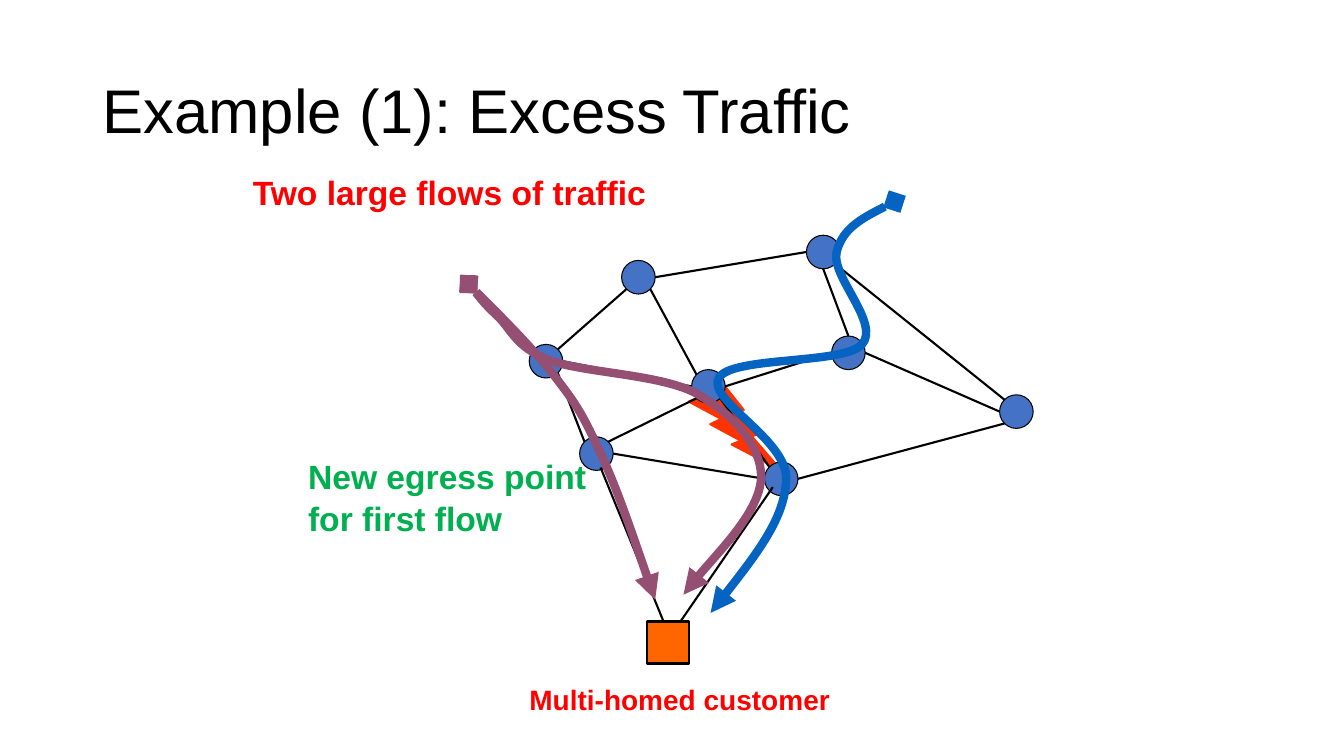
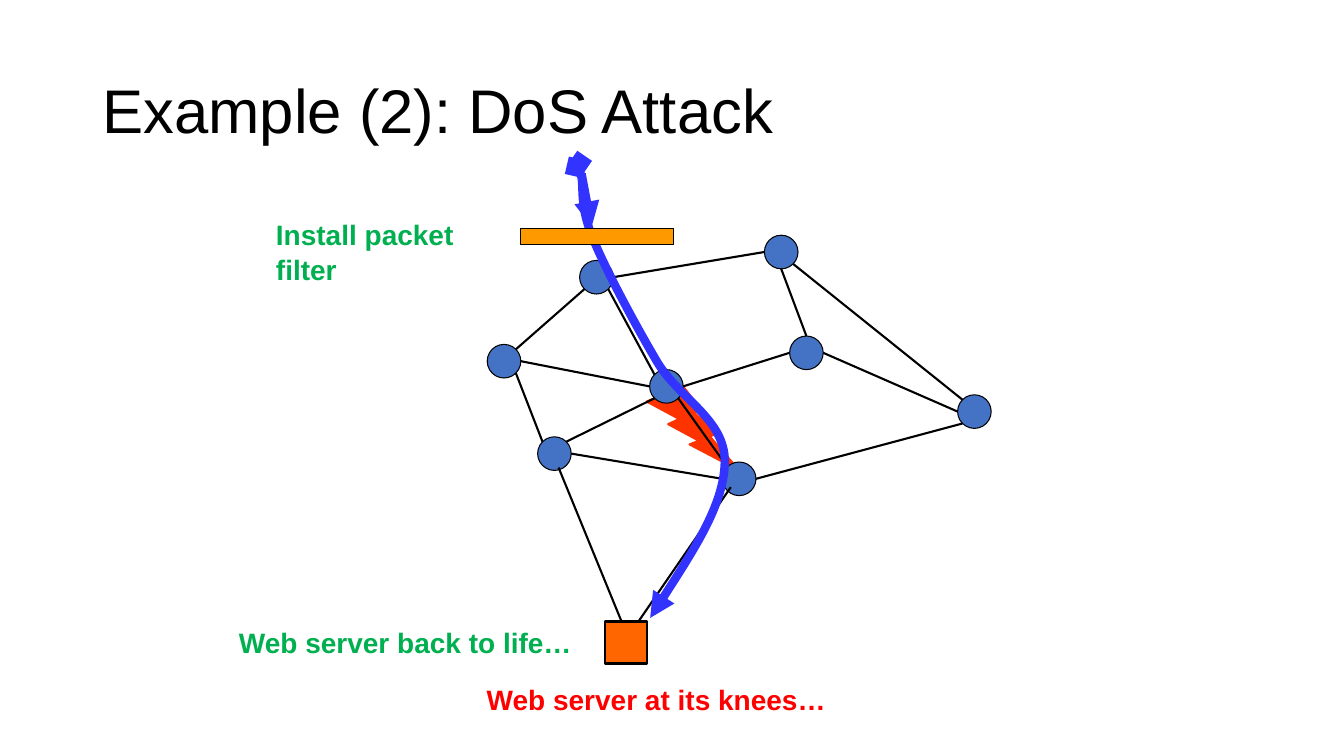
"""Build two slides of network traffic examples around one shared topology."""
from math import cos, radians, sin

from lxml.etree import SubElement
from pptx import Presentation
from pptx.dml.color import RGBColor
from pptx.enum.shapes import MSO_CONNECTOR, MSO_SHAPE
from pptx.enum.text import MSO_ANCHOR, MSO_AUTO_SIZE, PP_ALIGN
from pptx.oxml.ns import qn
from pptx.util import Pt

BLACK = RGBColor(0x00, 0x00, 0x00)
RED = RGBColor(0xFF, 0x00, 0x00)
GREEN = RGBColor(0x00, 0xB0, 0x50)
NODE_BLUE = RGBColor(0x44, 0x72, 0xC4)
BOLT_RED = RGBColor(0xFF, 0x33, 0x00)
SITE_ORANGE = RGBColor(0xFF, 0x66, 0x00)
FILTER_ORANGE = RGBColor(0xFF, 0x99, 0x00)
FLOW_BLUE = RGBColor(0x05, 0x63, 0xC1)
FLOW_PURPLE = RGBColor(0x95, 0x4F, 0x72)
ATTACK_BLUE = RGBColor(0x33, 0x33, 0xFF)

FONT = "Arial"
RADIUS = 12
NODES = {
    "north": (456, 198), "west": (390, 258), "southwest": (426, 324),
    "south": (558, 342), "core": (506, 276), "east": (606, 252),
    "northeast": (588, 180), "far east": (726, 294),
}
ANGLES = {"E": 0, "SE": 45, "S": 90, "SW": 135, "W": 180, "NW": 225, "N": 270, "NE": 315}
LINKS = [
    ("west", "E", "core", "W"), ("core", "SW", "southwest", "NE"),
    ("core", "SE", "south", "NW"), ("north", "SE", "core", "NW"),
    ("core", "E", "east", "W"), ("northeast", "S", "east", "N"),
    ("north", "E", "northeast", "W"), ("east", "E", "far east", "W"),
    ("south", "E", "far east", "SW"), ("northeast", "SE", "far east", "NW"),
    ("southwest", "E", "south", "W"), ("west", "SE", "southwest", "NW"),
    ("west", "NE", "north", "SW"),
]
ACCESS_LINKS = [((429, 334), (474, 444)), ((552, 348), (486, 444))]
BOLT = (492, 276, 66, 60)
SITE = (462, 444, 30, 30)

SLIDES = [
    {
        "title": "Example (1): Excess Traffic",
        "shift": 0,
        "items": [
            ("label", ["Multi-homed customer"], (371, 484, 231, 31.5), 20, RED),
            ("label", ["Two large flows of traffic"], (173.5, 119, 298, 36.5), 24, RED),
            ("flow", FLOW_BLUE, [
                (639, 144), (620.6, 153.4), (602, 162.7), (597.6, 180),
                (593.3, 197.3), (629.3, 231.1), (615.6, 246.2),
                (601.9, 260.6), (522.7, 254.2), (513.4, 270),
                (504.7, 285.8), (562.3, 313.9), (561.6, 342),
                (560.9, 370.1), (534.2, 403.9), (507.6, 437.8)]),
            ("flow", FLOW_PURPLE, [
                (334.8, 203), (340.6, 209.5), (345.6, 216.7), (355, 225.4),
                (365, 234.7), (367.9, 247.7), (391.7, 257),
                (415.4, 266.4), (473, 267.1), (498.2, 281.5),
                (523.4, 295.9), (545, 319), (543.6, 342.7),
                (541.4, 366.5), (497.5, 411.1), (488.2, 424.8)]),
            ("label", ["New egress point", "for first flow"],
             (213, 322, 215.5, 65.5), 24, GREEN),
            ("flow", FLOW_PURPLE, [
                (334.8, 203), (357.1, 225.4), (380.2, 248.4), (396, 268.6),
                (411.8, 288.7), (416.9, 297.4), (429.1, 324),
                (441.4, 350.6), (454.3, 389.5), (468, 428.4)]),
        ],
    },
    {
        "title": "Example (2): DoS Attack",
        "shift": -30,
        "items": [
            ("label", ["Web server at its knees…"], (340.5, 484, 258.5, 31.5), 20, RED),
            ("flow", ATTACK_BLUE, [
                (411.1, 119.5), (411.8, 118.8), (413.3, 118.1), (415.4, 126.7),
                (416.9, 134.6), (414, 147.6), (423.4, 169.9),
                (432, 191.5), (453.6, 231.8), (469.4, 258.5),
                (485.3, 285.1), (518.4, 299.5), (517.7, 330.5),
                (517, 360.7), (490.3, 401), (464.4, 441.4)]),
            ("filter", (371.5, 163, 109.5, 12)),
            ("flow", ATTACK_BLUE, [
                (414, 116.6), (414, 116.6), (418.3, 139.7), (422.6, 162)]),
            ("label", ["Install packet", "filter"], (190, 152, 142.5, 55.5), 20, GREEN),
            ("label", ["Web server back to life…"], (163.5, 443.5, 254, 31.5), 20, GREEN),
        ],
    },
]


def points(values):
    return [Pt(value) for value in values]


def format_run(run, size, color, bold):
    run.font.name = FONT
    run.font.size = Pt(size)
    run.font.bold = bold
    run.font.color.rgb = color


def set_title(slide, text):
    title = slide.shapes.title
    title.left, title.top, title.width, title.height = points((66, 28.75, 828, 104.5))
    frame = title.text_frame
    frame.auto_size = MSO_AUTO_SIZE.NONE
    frame.vertical_anchor = MSO_ANCHOR.MIDDLE
    paragraph = frame.paragraphs[0]
    paragraph.alignment = PP_ALIGN.LEFT
    paragraph.line_spacing = 0.9
    run = paragraph.add_run()
    run.text = text
    format_run(run, 44, BLACK, False)


def add_block(slide, kind, box, fill, line, width):
    shape = slide.shapes.add_shape(kind, *points(box))
    shape.shadow.inherit = False
    shape.fill.solid()
    shape.fill.fore_color.rgb = fill
    shape.line.color.rgb = line
    shape.line.width = Pt(width)


def add_link(slide, start, end):
    link = slide.shapes.add_connector(MSO_CONNECTOR.STRAIGHT, *points(start + end))
    link.line.color.rgb = BLACK
    link.line.width = Pt(1.5)
    SubElement(link._element.spPr, qn("a:effectLst"))


def add_label(slide, lines, box, size, color):
    frame = slide.shapes.add_textbox(*points(box)).text_frame
    frame.word_wrap = False
    frame.auto_size = MSO_AUTO_SIZE.SHAPE_TO_FIT_TEXT
    for index, line in enumerate(lines):
        paragraph = frame.add_paragraph() if index else frame.paragraphs[0]
        if index:
            paragraph.space_before = Pt(1)
        run = paragraph.add_run()
        run.text = line
        format_run(run, size, color, True)


def add_flow(slide, color, knots):
    start, *rest = [points(knot) for knot in knots]
    builder = slide.shapes.build_freeform(*start)
    builder.add_line_segments(rest, close=False)
    shape = builder.convert_to_shape()
    shape.shadow.inherit = False
    shape.fill.background()
    shape.line.color.rgb = color
    shape.line.width = Pt(6)
    properties = shape._element.spPr
    outline = next(properties.iter(qn("a:path")))
    segments = outline.findall(qn("a:lnTo"))
    for first in range(0, len(segments), 3):
        curve = SubElement(outline, qn("a:cubicBezTo"))
        for segment in segments[first:first + 3]:
            curve.append(segment[0])
            outline.remove(segment)
    line = properties.find(qn("a:ln"))
    SubElement(line, qn("a:headEnd"), type="diamond")
    SubElement(line, qn("a:tailEnd"), type="triangle")


def add_filter(slide, box):
    add_block(slide, MSO_SHAPE.RECTANGLE, box, FILTER_ORANGE, BLACK, 0.75)


def add_network(slide, shift):
    def moved(x, y, *size):
        return (x + shift, y, *size)

    def port(node, side):
        x, y = NODES[node]
        angle = radians(ANGLES[side])
        return moved(x + RADIUS * cos(angle), y + RADIUS * sin(angle))

    add_block(slide, MSO_SHAPE.LIGHTNING_BOLT, moved(*BOLT), BOLT_RED, BOLT_RED, 1.5)
    for x, y in NODES.values():
        box = moved(x - RADIUS, y - RADIUS, 2 * RADIUS, 2 * RADIUS)
        add_block(slide, MSO_SHAPE.OVAL, box, NODE_BLUE, BLACK, 0.75)
    for source, source_side, target, target_side in LINKS:
        add_link(slide, port(source, source_side), port(target, target_side))
    for start, end in ACCESS_LINKS:
        add_link(slide, moved(*start), moved(*end))
    add_block(slide, MSO_SHAPE.RECTANGLE, moved(*SITE), SITE_ORANGE, BLACK, 1.5)


def main():
    presentation = Presentation()
    presentation.slide_width, presentation.slide_height = Pt(960), Pt(540)
    draw = {"label": add_label, "flow": add_flow, "filter": add_filter}
    for content in SLIDES:
        slide = presentation.slides.add_slide(presentation.slide_layouts[5])
        set_title(slide, content["title"])
        add_network(slide, content["shift"])
        for kind, *details in content["items"]:
            draw[kind](slide, *details)
    presentation.save("out.pptx")


if __name__ == "__main__":
    main()
